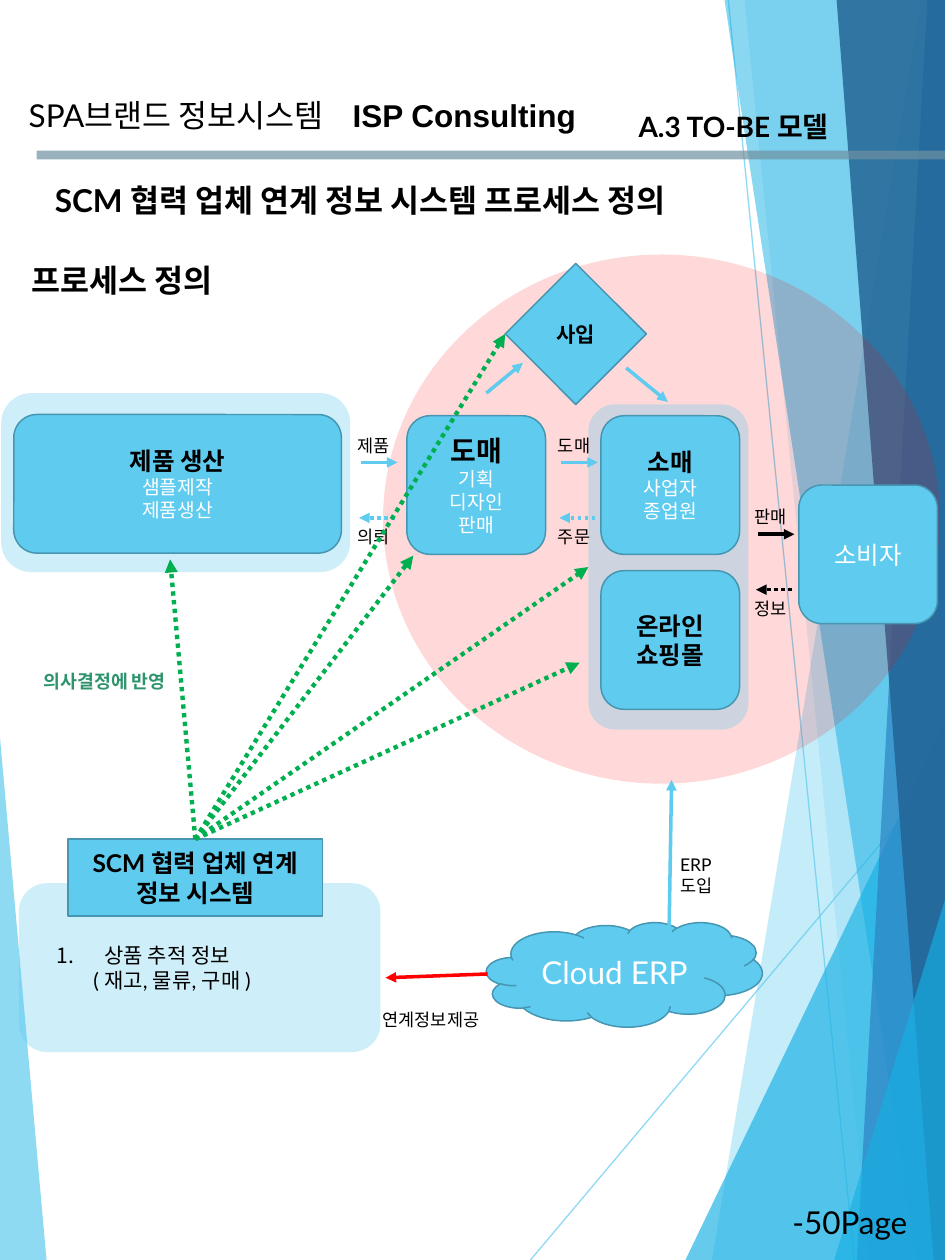
from dataclasses import dataclass
from lxml import etree
from pptx import Presentation
from pptx import util as u
from pptx.dml.color import RGBColor
from pptx.enum import dml, shapes, text
from pptx.oxml.ns import qn

COLS, ROWS = 30, 40
CELL = u.Inches(0.25)


class Theme:
    font, accent_font = "Lato", "Arial"
    black, white = "000000", "FFFFFF"
    sky, sky_edge, azure = "5FCBEF", "4696B1", "17B0E4"
    blue, navy, rule = "2E83C3", "226292", "6E91A0"
    red, green, note = "FF0000", "00B050", "2E946B"
    heading, topic, node, choice, detail, remark, label = 18, 16, 14, 12, 11, 10.5, 10


@dataclass
class Region:
    slide: object
    col: float
    row: float

    def point(self, x, y):
        return round((self.col + x) * CELL), round((self.row + y) * CELL)

    def box(self, x, y, w, h):
        return (*self.point(x, y), round(w * CELL), round(h * CELL))


def paint(fill, color, alpha=100):
    fill.solid()
    fill.fore_color.rgb = RGBColor.from_string(color)
    if alpha < 100:
        for tint in fill._xPr.iter(qn("a:srgbClr")):
            etree.SubElement(tint, qn("a:alpha"), val=str(alpha * 1000))


def style(paragraph, size, color=Theme.black, bold=False, font=Theme.font):
    for run in paragraph.runs:
        run.font.name, run.font.size, run.font.bold = font, u.Pt(size), bold
        run.font.color.rgb = RGBColor.from_string(color)


def line(region, start, end, color, width=2, alpha=100, arrow=False, dotted=False):
    link = region.slide.shapes.add_connector(
        shapes.MSO_CONNECTOR.STRAIGHT, *region.point(*start), *region.point(*end))
    link.line.width = u.Pt(width)
    paint(link.line.fill, color, alpha)
    if dotted:
        link.line.dash_style = dml.MSO_LINE.ROUND_DOT
    if arrow:
        etree.SubElement(link.line._ln, qn("a:tailEnd"), type="triangle")
    etree.SubElement(link._element.spPr, qn("a:effectLst"))


def caption(region, box, words, size=Theme.label, wrap=False, **look):
    frame = region.slide.shapes.add_textbox(*region.box(*box)).text_frame
    frame.word_wrap = wrap
    frame.text = words
    style(frame.paragraphs[0], size, **look)


def panel(region, kind, box, color=Theme.sky, alpha=30):
    area = region.slide.shapes.add_shape(kind, *region.box(*box))
    area.shadow.inherit = False
    paint(area.fill, color, alpha)
    area.line.fill.background()
    return area


def node(region, kind, box, *lines):
    shape = panel(region, kind, box, alpha=100)
    paint(shape.line.fill, Theme.sky_edge)
    shape.line.width = u.Pt(0.85)
    frame = shape.text_frame
    frame.word_wrap = True
    frame.vertical_anchor = text.MSO_ANCHOR.MIDDLE
    frame.text = "\n".join(words for words, *_ in lines)
    for paragraph, (_, *look) in zip(frame.paragraphs, lines):
        paragraph.alignment = text.PP_ALIGN.CENTER
        style(paragraph, *look)


def place(region, placeholder, box):
    placeholder.left, placeholder.top, placeholder.width, placeholder.height = region.box(*box)
    tree = placeholder._element.getparent()
    tree.append(placeholder._element)
    frame = placeholder.text_frame
    frame.auto_size = text.MSO_AUTO_SIZE.NONE
    frame.vertical_anchor = text.MSO_ANCHOR.TOP
    return frame


def backdrop(region):
    def facet(color, alpha, *corners):
        points = [region.point(*corner) for corner in corners]
        builder = region.slide.shapes.build_freeform(*points[0], scale=1.0)
        builder.add_line_segments(points[1:], close=True)
        shape = builder.convert_to_shape()
        shape.shadow.inherit = False
        paint(shape.fill, color, alpha)
        shape.line.fill.background()

    facet(Theme.sky, 70, (0, 23.4), (1.48, ROWS), (0, ROWS))
    line(region, (16.84, ROWS), (COLS, 24.36), Theme.sky, 0.75, 70)
    line(region, (23.12, 0), (27.12, ROWS), Theme.sky, 0.75, 70)
    for color, alpha, top, bottom in (
            (Theme.sky, 36, 29.24, 22.6), (Theme.sky, 20, 23.64, 27.6)):
        facet(color, alpha, (top, 0), (bottom, ROWS), (COLS, ROWS), (COLS, 0))
    facet(Theme.azure, 66, (21.76, ROWS), (COLS, 22.88), (COLS, ROWS))
    for color, alpha, top, bottom in (
            (Theme.azure, 50, 23, 29.08), (Theme.blue, 70, 29.44, 27.2),
            (Theme.navy, 82, 26.56, 29.64)):
        facet(color, alpha, (top, 0), (bottom, ROWS), (COLS, ROWS), (COLS, 0))
    facet(Theme.azure, 66, (26.48, ROWS), (COLS, 28.56), (COLS, ROWS))


def header(region):
    line(region, (1.16, 2.92), (COLS, 2.92), Theme.rule, 5, 70)
    caption(region, (10.8, 0.84, 8.28, 1.6), "ISP Consulting", Theme.heading,
            bold=True, font=Theme.accent_font)
    caption(region, (0.52, 0.84, 10.96, 1.6), "SPA브랜드 정보시스템", Theme.heading)
    caption(region, (19.88, 1.28, 7.04, 1.48), "A.3 TO-BE 모델", Theme.topic, bold=True)
    title = place(region, region.slide.shapes.title, (0.64, 3.56, 21.6, 1.6))
    title.word_wrap = False
    title.text = "SCM 협력 업체 연계 정보 시스템 프로세스 정의"
    title.paragraphs[0].alignment = text.PP_ALIGN.CENTER
    style(title.paragraphs[0], Theme.heading, bold=True)
    caption(region, (0.6, 6.08, 7.04, 1.6), "프로세스 정의", Theme.heading, bold=True)


def supply_chain(region):
    kind = shapes.MSO_SHAPE
    panel(region, kind.OVAL, (12.16, 0.08, 17.68, 16.8), Theme.red, 15)
    panel(region, kind.ROUNDED_RECTANGLE, (0.04, 4.48, 11.08, 5.68))
    panel(region, kind.ROUNDED_RECTANGLE, (18.68, 4.84, 5.08, 10.32))

    def head(words, size=Theme.node):
        return words, size, Theme.black, True

    def details(*items):
        return [(item, Theme.detail, Theme.white) for item in items]

    for x, y, w, lines in (
            (0.44, 5.16, 10.4, [head("제품 생산"), *details("샘플제작", "제품생산")]),
            (19.08, 5.2, 4.4, [head("소매"), *details("사업자", "종업원")]),
            (12.92, 5.2, 4.4, [head("도매", Theme.topic), *details("기획", "디자인", "판매")]),
            (25.36, 7.4, 4.4, [("소비자", Theme.node, Theme.white)]),
            (19.08, 10.12, 4.4, [head("온라인"), head("쇼핑몰")])):
        node(region, kind.ROUNDED_RECTANGLE, (x, y, w, 4.4), *lines)
    node(region, kind.DIAMOND, (16.04, 0.36, 4.48, 4.48), head("사입", Theme.choice))

    for x, y, forward, back, color in (
            (10.96, 5.6, "제품", "의뢰", Theme.sky),
            (17.32, 5.6, "도매", "주문", Theme.sky),
            (23.56, 7.88, "판매", "정보", Theme.black)):
        line(region, (x + 0.5, y + 1.08), (x + 1.66, y + 1.08), color, arrow=True)
        line(region, (x + 1.58, y + 2.84), (x + 0.44, y + 2.84), color, arrow=True, dotted=True)
        caption(region, (x, y, 1.92, 1.08), forward)
        caption(region, (x, y + 2.9, 1.92, 1.08), back)
    line(region, (15.44, 4.48), (16.6, 3.52), Theme.sky, arrow=True)
    line(region, (19.88, 3.68), (21.2, 4.76), Theme.sky, arrow=True)


def information_system(region):
    kind = shapes.MSO_SHAPE
    panel(region, kind.ROUNDED_RECTANGLE, (0.6, 2.04, 11.48, 5.36))
    node(region, kind.CLOUD, (15.44, 3.28, 8.76, 3.32),
         ("Cloud ERP", Theme.heading, Theme.white))
    line(region, (21.24, 3.64), (21.32, -1.24), Theme.sky, arrow=True)
    caption(region, (21.2, 0.92, 2.8, 1.08), "ERP 도입", wrap=True)
    node(region, kind.RECTANGLE, (2.16, 0.64, 8.08, 2.44),
         ("SCM 협력 업체 연계 정보 시스템", Theme.node, Theme.black, True))
    items = place(region, region.slide.placeholders[1], (1.4, 3.72, 11.48, 2))
    items.text = "상품 추적 정보\n( 재고, 물류, 구매 )"
    for paragraph, margin, indent, bullet in zip(
            items.paragraphs, (0.38, 0.29), (-0.38, 0), ("buAutoNum", "buNone")):
        props = paragraph._p.get_or_add_pPr()
        props.set("marL", str(u.Inches(margin)))
        props.set("indent", str(u.Inches(indent)))
        mark = etree.SubElement(props, qn(f"a:{bullet}"))
        if bullet == "buAutoNum":
            mark.set("type", "arabicPeriod")
        paragraph.space_before = u.Pt(0)
        style(paragraph, Theme.choice)
        paragraph.font.size = u.Pt(Theme.choice)
    line(region, (15.48, 4.92), (12.24, 5.04), Theme.red, arrow=True)
    caption(region, (11.76, 5.84, 4.16, 1.08), "연계정보제공")


def feedback(region):
    for target in ((5.4, 9.76), (13.12, 9.64), (18.68, 10), (18.4, 13.04), (16.04, 2.6)):
        line(region, (6.2, 18.64), target, Theme.green, 2.5, arrow=True, dotted=True)
    caption(region, (1, 13.08, 5, 1.12), "의사결정에 반영", Theme.remark,
            color=Theme.note, bold=True)


def footer(region):
    caption(region, (24.76, 0, 4.72, 1.6), "-50Page-", Theme.heading)


def main():
    deck = Presentation()
    deck.slide_width, deck.slide_height = COLS * CELL, ROWS * CELL
    slide = deck.slides.add_slide(deck.slide_layouts[1])
    for draw, row in ((backdrop, 0), (header, 2), (supply_chain, 8),
                      (information_system, 26), (feedback, 8), (footer, 38)):
        draw(Region(slide, 0, row))
    deck.save("out.pptx")


if __name__ == "__main__":
    main()
